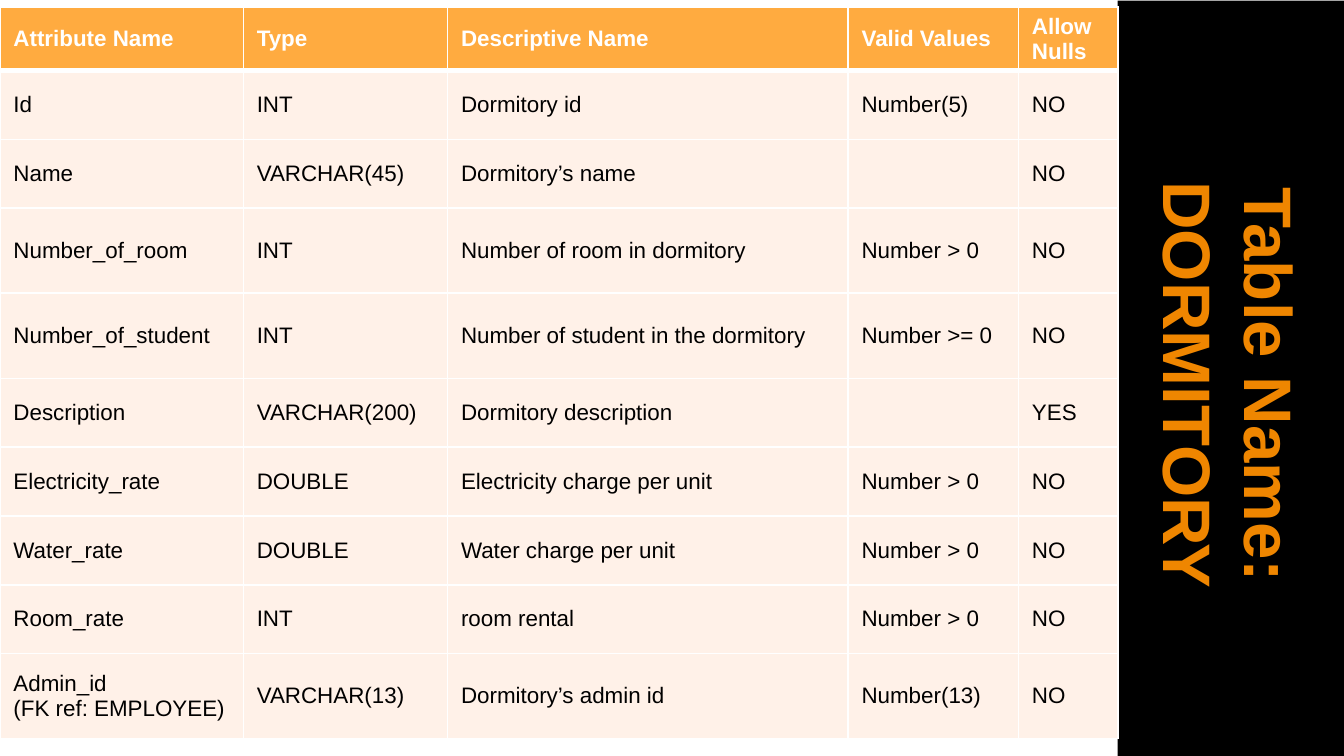
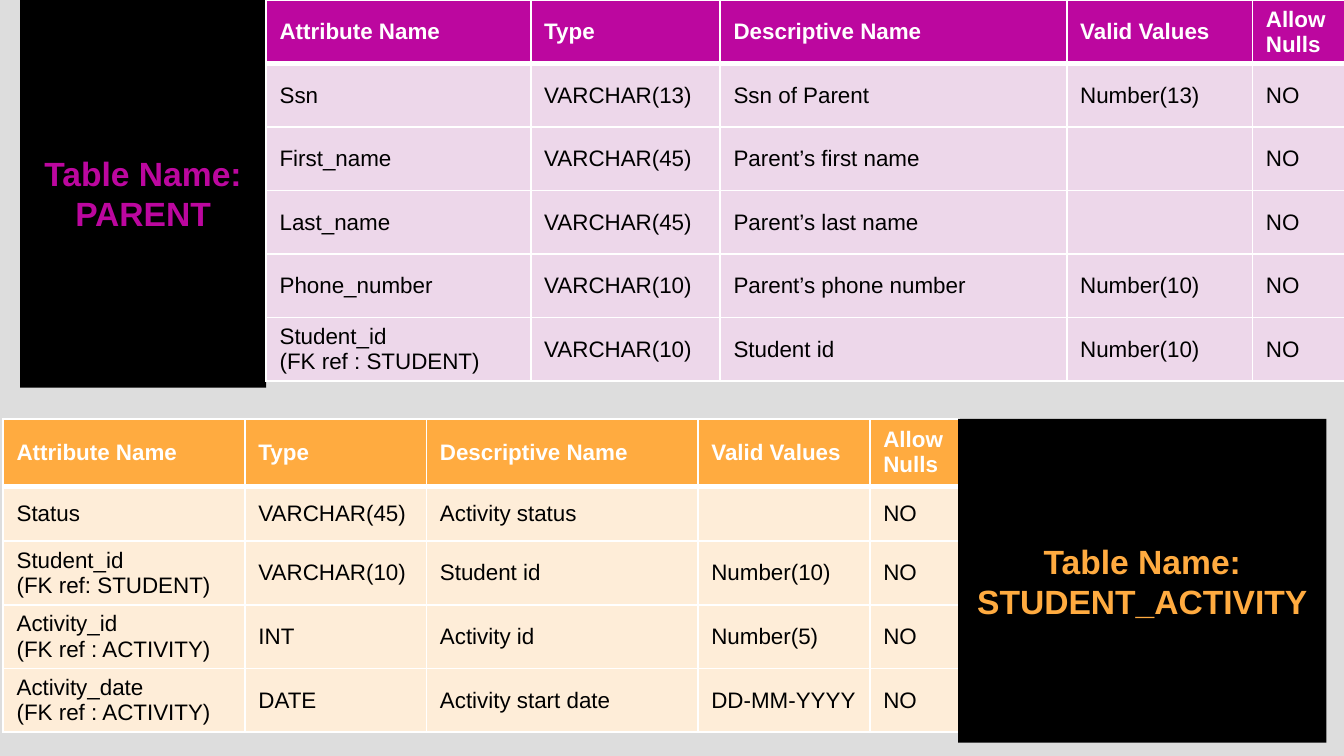
from lxml.etree import SubElement
from pptx import Presentation
from pptx.dml.color import RGBColor
from pptx.enum.shapes import MSO_SHAPE
from pptx.enum.text import MSO_ANCHOR, MSO_AUTO_SIZE, PP_ALIGN
from pptx.oxml.ns import qn
from pptx.util import Cm, Pt

FONT = "Arial"
WHITE, BLACK, GREY = "FFFFFF", "000000", "DDDDDD"
ORANGE, DEEP_ORANGE, PURPLE = "FFAB40", "EF8600", "BC079F"
PEACH, CREAM, PINK = "FFF1E8", "FEEDD8", "FED3F8"

HEADINGS = ("Attribute Name", "Type", "Descriptive Name", "Valid Values", "Allow Nulls")

DORMITORY = [
    ("Id", "INT", "Dormitory id", "Number(5)", "NO"),
    ("Name", "VARCHAR(45)", "Dormitory’s name", "", "NO"),
    ("Number_of_room", "INT", "Number of room in dormitory", "Number > 0", "NO"),
    ("Number_of_student", "INT", "Number of student in the dormitory", "Number >= 0", "NO"),
    ("Description", "VARCHAR(200)", "Dormitory description", "", "YES"),
    ("Electricity_rate", "DOUBLE", "Electricity charge per unit", "Number > 0", "NO"),
    ("Water_rate", "DOUBLE", "Water charge per unit", "Number > 0", "NO"),
    ("Room_rate", "INT", "room rental", "Number > 0", "NO"),
    ("Admin_id\n(FK ref: EMPLOYEE)", "VARCHAR(13)", "Dormitory’s admin id", "Number(13)", "NO"),
]

PARENT = [
    ("Ssn", "VARCHAR(13)", "Ssn of Parent", "Number(13)", "NO"),
    ("First_name", "VARCHAR(45)", "Parent’s first name", "", "NO"),
    ("Last_name", "VARCHAR(45)", "Parent’s last name", "", "NO"),
    ("Phone_number", "VARCHAR(10)", "Parent’s phone number", "Number(10)", "NO"),
    ("Student_id\n(FK ref : STUDENT)", "VARCHAR(10)", "Student id", "Number(10)", "NO"),
]

STUDENT_ACTIVITY = [
    ("Status", "VARCHAR(45)", "Activity status", "", "NO"),
    ("Student_id\n(FK ref: STUDENT)", "VARCHAR(10)", "Student id", "Number(10)", "NO"),
    ("Activity_id\n(FK ref : ACTIVITY)", "INT", "Activity id", "Number(5)", "NO"),
    ("Activity_date\n(FK ref : ACTIVITY)", "DATE", "Activity start date", "DD-MM-YYYY", "NO"),
]


def rgb(code):
    """Turn a hex string into a colour."""
    return RGBColor.from_string(code)


def paint(fill, code, opacity=100):
    """Fill solidly, with an optional opacity in percent."""
    fill.solid()
    fill.fore_color.rgb = rgb(code)
    return opacity


def write(frame, text, size=12, color=BLACK, bold=False, align=PP_ALIGN.LEFT):
    """Write text into a frame, one paragraph per line."""
    frame.text = text
    for paragraph in frame.paragraphs:
        paragraph.alignment = align
        paragraph.font.size = Pt(size)
        for run in paragraph.runs:
            run.font.name = FONT
            run.font.size = Pt(size)
            run.font.bold = bold
            run.font.color.rgb = rgb(color)


def rule_cell(cell, top=1, bottom=1):
    """Draw white borders round a cell, with widths in points."""
    properties = cell._tc.get_or_add_tcPr()
    for side, width in (("L", 1), ("R", 1), ("T", top), ("B", bottom)):
        border = SubElement(properties, qn(f"a:ln{side}"), w=str(Pt(width)))
        fill = SubElement(border, qn("a:solidFill"))
        SubElement(fill, qn("a:srgbClr"), val=WHITE)


def fill_cell(cell, code, opacity=100):
    """Fill a cell, with opacity in percent."""
    cell.fill.solid()
    cell.fill.fore_color.rgb = rgb(code)
    if opacity < 100:
        color = cell._tc.tcPr.find(qn("a:solidFill")).find(qn("a:srgbClr"))
        SubElement(color, qn("a:alpha"), val=str(opacity * 1000))


def attribute_table(slide, left, top, widths, heights, records, head, body, opacity=100):
    """Place a table of attributes with its top left corner at the given point."""
    table = slide.shapes.add_table(
        len(heights), len(widths), Cm(left), Cm(top), Cm(sum(widths)), Cm(sum(heights))
    ).table
    table.horz_banding = False
    for column, width in zip(table.columns, widths):
        column.width = Cm(width)
    for index, (row, height, texts) in enumerate(zip(table.rows, heights, [HEADINGS, *records])):
        row.height = Cm(height)
        heading = index == 0
        for cell, text in zip(row.cells, texts):
            rule_cell(cell, top=3 if index == 1 else 1, bottom=3 if heading else 1)
            fill_cell(cell, head if heading else body, 100 if heading else opacity)
            cell.vertical_anchor = MSO_ANCHOR.MIDDLE
            write(cell.text_frame, text, color=WHITE if heading else BLACK, bold=heading)


def name_panel(panel, box, name, color, size=18, rotation=0):
    """Make a shape the black panel that names a table."""
    panel.left, panel.top, panel.width, panel.height = map(Cm, box)
    panel.rotation = rotation
    panel.shadow.inherit = False
    panel.fill.solid()
    panel.fill.fore_color.rgb = rgb(BLACK)
    panel.line.fill.background()
    frame = panel.text_frame
    frame.word_wrap = True
    frame.auto_size = MSO_AUTO_SIZE.NONE
    frame.vertical_anchor = MSO_ANCHOR.MIDDLE
    write(frame, f"Table Name: {name}", size=size, color=color, bold=True, align=PP_ALIGN.CENTER)


def new_slide(deck, background):
    """Add a title-only slide with a plain background."""
    slide = deck.slides.add_slide(deck.slide_layouts[5])
    slide.background.fill.solid()
    slide.background.fill.fore_color.rgb = rgb(background)
    return slide


def dormitory_slide(deck):
    """Build the slide with one table and a sideways title."""
    slide = new_slide(deck, WHITE)
    low, tall = 1.3, 1.61
    attribute_table(
        slide, 0, 0.13, (4.6, 3.86, 7.57, 3.22, 1.88),
        (0.92, low, low, tall, tall, low, low, low, low, tall),
        DORMITORY, ORANGE, PEACH,
    )
    name_panel(slide.shapes.title, (16, 5.13, 14.53, 4.29), "DORMITORY", DEEP_ORANGE, 36, 90)


def parent_and_activity_slide(deck):
    """Build the slide with two tables, each beside its name."""
    slide = new_slide(deck, GREY)
    attribute_table(
        slide, 5.03, 0, (5, 3.58, 6.55, 3.51, 1.75), [1.2] * 6,
        PARENT, PURPLE, PINK, opacity=50,
    )
    name_panel(slide.shapes.title, (0.38, -0.03, 4.65, 7.36), "PARENT", PURPLE)

    top = 7.92
    attribute_table(
        slide, 0.06, top, (4.57, 3.43, 5.13, 3.25, 1.68), [1.27] + [1.04] * 4,
        STUDENT_ACTIVITY, ORANGE, CREAM,
    )
    box = (18.11, top, 6.96, 6.12)
    activity_panel = slide.shapes.add_shape(MSO_SHAPE.RECTANGLE, *map(Cm, box))
    name_panel(activity_panel, box, "STUDENT_ACTIVITY", ORANGE)


def main():
    """Build the deck and save it."""
    deck = Presentation()
    deck.slide_width, deck.slide_height = Cm(25.4), Cm(14.29)
    dormitory_slide(deck)
    parent_and_activity_slide(deck)
    deck.save("out.pptx")


if __name__ == "__main__":
    main()
